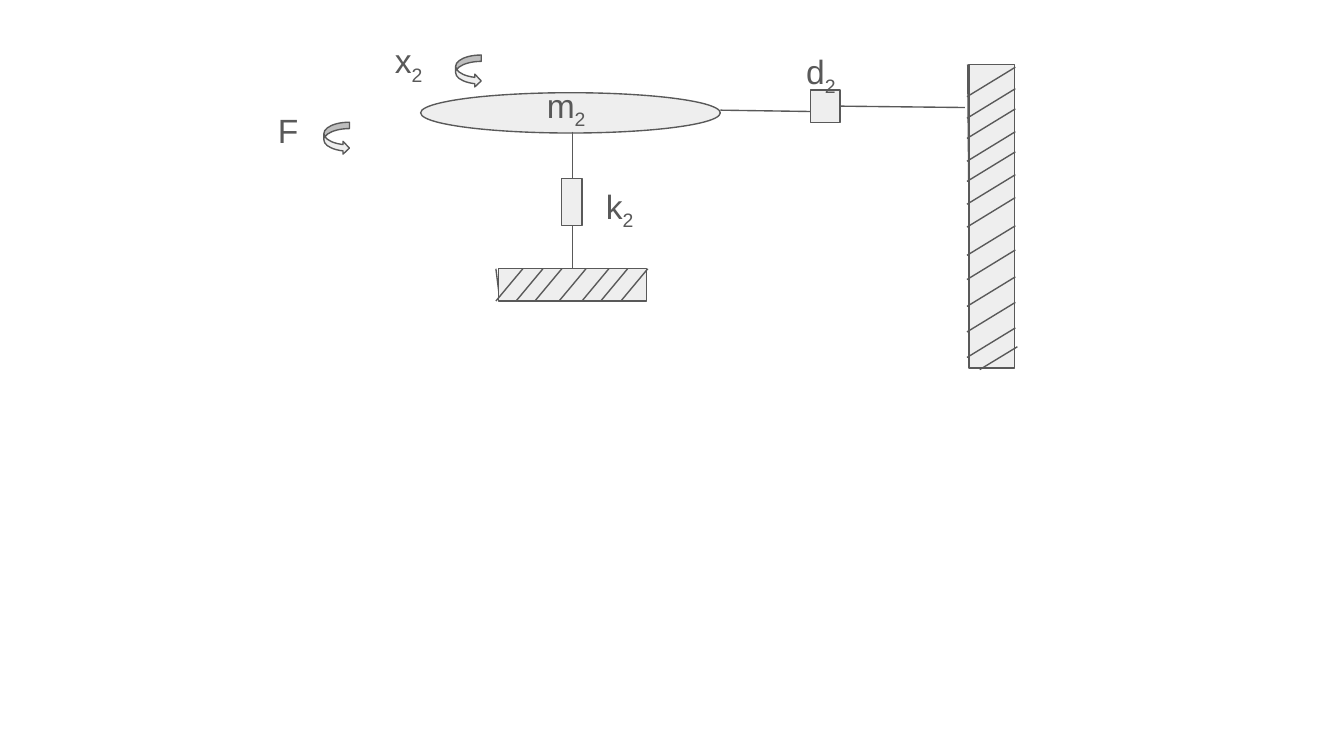
from dataclasses import dataclass

from lxml import etree
from pptx import Presentation, util as u
from pptx.dml.color import RGBColor
from pptx.enum import shapes as s
from pptx.oxml.ns import qn

SLIDE_WIDTH = u.Inches(10)
SLIDE_HEIGHT = SLIDE_WIDTH * 9 // 16
COLUMNS = 100
CELL = SLIDE_WIDTH // COLUMNS  # square grid cell


@dataclass(frozen=True)
class Theme:
    ink: RGBColor = RGBColor(0x59, 0x59, 0x59)
    body: RGBColor = RGBColor(0xEE, 0xEE, 0xEE)
    font: str = "Arial"
    label_size: u.Pt = u.Pt(18)
    stroke: u.Pt = u.Pt(0.75)


THEME = Theme()


def grid(*cells):
    """Turn grid columns and rows into slide lengths."""
    return [u.Emu(round(cell * CELL)) for cell in cells]


def draw_stroke(line):
    line.color.rgb = THEME.ink
    line.width = THEME.stroke


def add_part(slide, kind, left, top, width, height):
    part = slide.shapes.add_shape(kind, *grid(left, top, width, height))
    part.shadow.inherit = False
    part.fill.solid()
    part.fill.fore_color.rgb = THEME.body
    draw_stroke(part.line)
    return part


def add_rod(slide, start, end):
    rod = slide.shapes.add_connector(s.MSO_CONNECTOR.STRAIGHT, *grid(*start, *end))
    draw_stroke(rod.line)
    etree.SubElement(rod._element.spPr, qn("a:effectLst"))
    return rod


def add_label(slide, symbol, left, top, index="", height=5.8):
    frame = slide.shapes.add_textbox(*grid(left, top, 5, height)).text_frame
    frame.word_wrap = True
    frame.margin_left = frame.margin_right = u.Inches(0.1)
    frame.margin_top = frame.margin_bottom = u.Inches(0.1)
    for level, letters in enumerate(filter(None, (symbol, index))):
        run = frame.paragraphs[0].add_run()
        run.text = letters
        run.font.name = THEME.font
        run.font.size = THEME.label_size
        run.font.color.rgb = THEME.ink
        if level:
            run._r.get_or_add_rPr().set("baseline", "-25000")


def add_hatching(slide, starts, run, rise):
    """Draw parallel strokes going up and right from each start."""
    for x, y in starts:
        add_rod(slide, (x, y), (x + run, y - rise))


def add_wall(slide):
    add_rod(slide, (72, 4.8), (72.2, 27.4))
    add_part(slide, s.MSO_SHAPE.RECTANGLE, 72.1, 4.8, 3.4, 22.6)
    stroke_rows = (7.2, 8.8, 10.3, 12, 13.5, 15.2, 16.9, 19, 20.8, 22.8, 24.7, 26.6)
    add_hatching(slide, [(71.95, row) for row in stroke_rows], 3.6, 2.2)
    add_hatching(slide, [(72.9, 27.5)], 2.8, 1.7)


def add_ground(slide):
    add_rod(slide, (36.9, 20), (37.2, 22.4))
    ground = add_part(slide, s.MSO_SHAPE.RECTANGLE, 37.1, 20, 11, 2.4)
    stroke_columns = (36.9, 38.4, 39.8, 41.6, 43.3, 44.7, 46.2)
    add_hatching(slide, [(column, 22.4) for column in stroke_columns], 2, 2.4)
    return ground


def add_spring(slide, ground):
    rod = add_rod(slide, (42.6, 9.8), (42.5, 20))
    rod.end_connect(ground, 0)
    add_part(slide, s.MSO_SHAPE.RECTANGLE, 41.8, 13.3, 1.5, 3.5)


def add_damper(slide):
    add_rod(slide, (53.6, 8.2), (60.5, 8.3))
    damper = add_part(slide, s.MSO_SHAPE.RECTANGLE, 60.3, 6.7, 2.2, 2.4)
    add_rod(slide, (62.6, 7.9), (71.8, 8)).begin_connect(damper, 3)


def main():
    deck = Presentation()
    deck.slide_width = SLIDE_WIDTH
    deck.slide_height = SLIDE_HEIGHT
    slide = deck.slides.add_slide(deck.slide_layouts[6])

    add_part(slide, s.MSO_SHAPE.OVAL, 31.3, 6.9, 22.3, 3)
    add_spring(slide, add_ground(slide))
    add_damper(slide)
    add_wall(slide)
    for left, top in ((33.9, 4.1), (24.1, 9.1)):
        add_part(slide, s.MSO_SHAPE.CURVED_RIGHT_ARROW, left, top, 1.9, 2.4)

    add_label(slide, "F", 19.7, 7.2, height=7.9)
    for symbol, left, top in (
        ("k", 44.1, 12.8),
        ("d", 59, 2.8),
        ("x", 28.4, 2),
        ("m", 39.7, 5.3),
    ):
        add_label(slide, symbol, left, top, index="2")

    deck.save("out.pptx")


if __name__ == "__main__":
    main()
